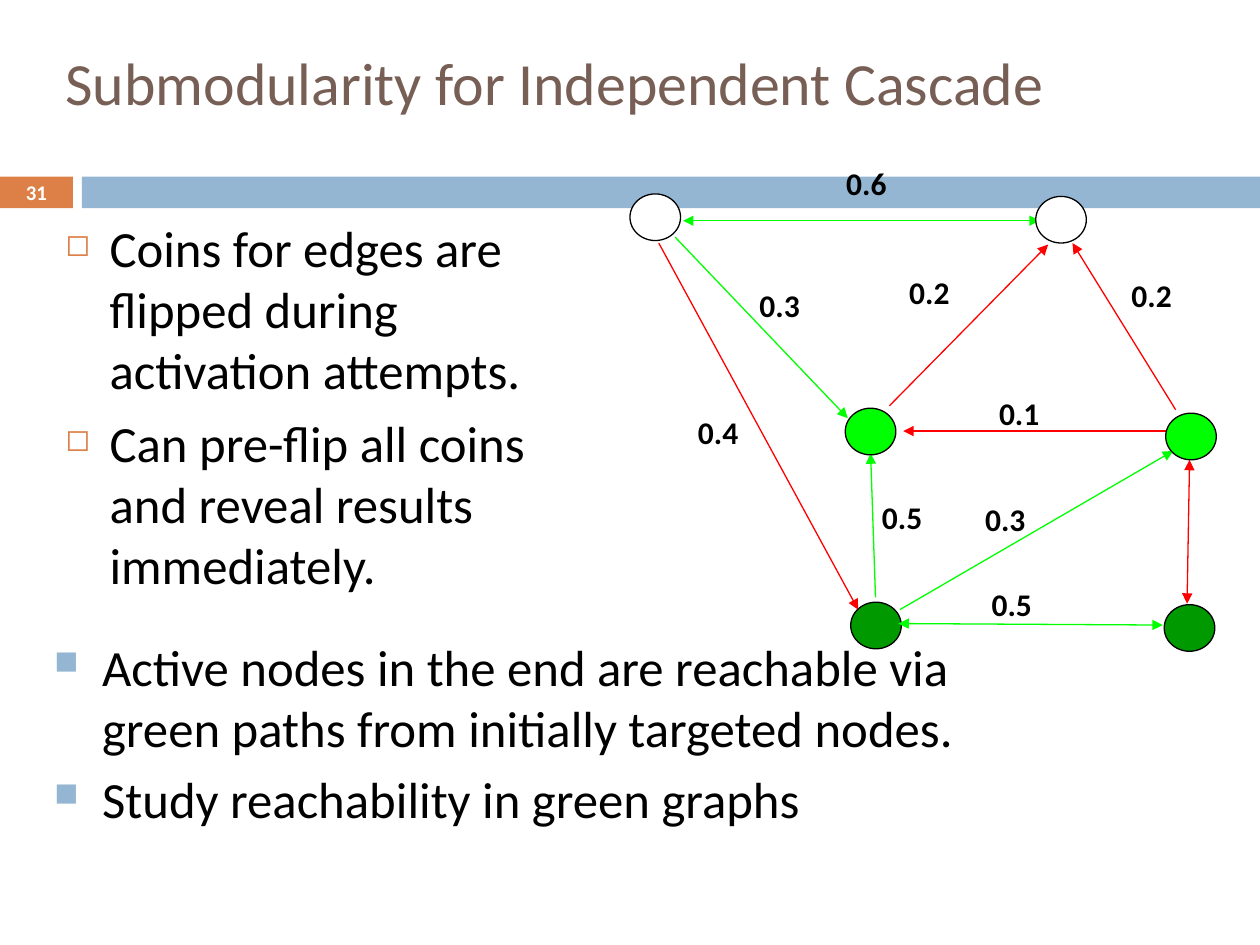
from lxml import etree
from pptx import Presentation
from pptx.dml.color import RGBColor
from pptx.enum.shapes import MSO_CONNECTOR, MSO_SHAPE
from pptx.enum.text import MSO_ANCHOR, PP_ALIGN
from pptx.oxml.ns import qn
from pptx.util import Cm, Pt

RECTANGLE, OVAL = MSO_SHAPE.RECTANGLE, MSO_SHAPE.OVAL
STRAIGHT = MSO_CONNECTOR.STRAIGHT
TOP, MIDDLE = MSO_ANCHOR.TOP, MSO_ANCHOR.MIDDLE
LEFT, CENTER = PP_ALIGN.LEFT, PP_ALIGN.CENTER

COLORS = {
    "title": "775F55",
    "orange": "DD8047",
    "blue": "94B6D2",
    "black": "000000",
    "white": "FFFFFF",
    "live": "00FF00",
    "blocked": "FF0000",
    "target": "009900",
}
RGB = {name: RGBColor.from_string(value) for name, value in COLORS.items()}
FONT = "Calibri"
NODE_WIDTH, NODE_HEIGHT = 1.02, 0.94
LABEL_WIDTH, LABEL_HEIGHT = 1.7, 1.02

prs = Presentation()
prs.slide_width, prs.slide_height = Cm(25.4), Cm(19.05)
slide = prs.slides.add_slide(prs.slide_layouts[6])
shapes = slide.shapes


def add_text(paragraphs, left, top, width, height, size=18, color="black",
             bold=False, align=LEFT, anchor=TOP, bullet=None, bullet_color=None,
             bullet_percent=100, indent=0, space_before=0):
    """Add a text box in cm; a bullet gives each paragraph a hanging indent."""
    frame = shapes.add_textbox(Cm(left), Cm(top), Cm(width), Cm(height)).text_frame
    frame.word_wrap = True
    frame.vertical_anchor = anchor
    for index, text in enumerate(paragraphs):
        paragraph = frame.add_paragraph() if index else frame.paragraphs[0]
        paragraph.alignment = align
        paragraph.space_before = Pt(space_before)
        run = paragraph.add_run()
        run.text = text
        run.font.name, run.font.size, run.font.bold = FONT, Pt(size), bold
        run.font.color.rgb = RGB[color]
        if bullet:
            props = paragraph._p.get_or_add_pPr()
            props.set("marL", str(Cm(indent)))
            props.set("indent", str(-Cm(indent)))
            fill = etree.SubElement(props, qn("a:buClr"))
            etree.SubElement(fill, qn("a:srgbClr"), val=COLORS[bullet_color])
            etree.SubElement(props, qn("a:buSzPct"), val=str(bullet_percent * 1000))
            etree.SubElement(props, qn("a:buChar"), char=bullet)


def add_shape(kind, left, top, width, height, fill, outline=None):
    shape = shapes.add_shape(kind, Cm(left), Cm(top), Cm(width), Cm(height))
    shape.shadow.inherit = False
    shape.fill.solid()
    shape.fill.fore_color.rgb = RGB[fill]
    if outline:
        shape.line.color.rgb = RGB[outline]
        shape.line.width = Pt(0.75)
    else:
        shape.line.fill.background()


# Header band, title and first points
add_shape(RECTANGLE, 0, 3.56, 1.47, 0.64, "orange")
add_shape(RECTANGLE, 1.65, 3.56, 23.75, 0.64, "blue")
add_text(["Submodularity for Independent Cascade"], 1.07, 0.76, 24.56, 1.78,
         size=34.2, color="title", anchor=MIDDLE)
add_text(["Coins for edges are flipped during activation attempts.",
          "Can pre-flip all coins and reveal results immediately."],
         1.07, 4.24, 11, 9.73, size=29, bullet="◻", bullet_color="orange",
         bullet_percent=60, indent=0.89, space_before=7)

# Cascade graph: the first target lies below the edges, other nodes above
add_shape(OVAL, 17.15, 12.14, NODE_WIDTH, NODE_HEIGHT, "target", "black")

edges = [  # start, end, outcome of the coin, arrows at both ends
    ((18.11, 12.57), (23.44, 12.6), "live", True),
    ((18.14, 12.29), (23.65, 9.09), "live", False),
    ((17.65, 12.04), (17.55, 9.14), "live", False),
    ((23.52, 8.69), (18.21, 8.69), "blocked", False),
    ((13.28, 4.9), (17.3, 12.29), "blocked", False),
    ((13.61, 4.78), (17.09, 8.43), "live", False),
    ((17.93, 8.18), (21.13, 4.93), "blocked", False),
    ((13.77, 4.45), (20.96, 4.45), "live", True),
    ((23.7, 8.26), (21.62, 4.9), "blocked", False),
    ((23.98, 9.27), (23.93, 12.17), "blocked", True),
]
for start, end, outcome, both_ways in edges:
    edge = shapes.add_connector(STRAIGHT, *map(Cm, start + end))
    edge.line.color.rgb = RGB[outcome]
    edge.line.width = Pt(0.75)
    line = edge.line._get_or_add_ln()
    if both_ways:
        etree.SubElement(line, qn("a:headEnd"), type="triangle")
    etree.SubElement(line, qn("a:tailEnd"), type="triangle")
    etree.SubElement(edge._element.spPr, qn("a:effectLst"))

probabilities = [
    ("0.5", 19.74, 11.66),
    ("0.3", 19.61, 9.96),
    ("0.5", 17.53, 9.91),
    ("0.1", 19.89, 7.82),
    ("0.4", 13.82, 8.2),
    ("0.3", 15.06, 5.64),
    ("0.2", 18.08, 5.38),
    ("0.6", 16.81, 3.18),
    ("0.2", 22.56, 5.44),
]
for probability, left, top in probabilities:
    add_text([probability], left, top, LABEL_WIDTH, LABEL_HEIGHT, bold=True)

upper_nodes = [
    (23.47, 12.19, "target"),
    (12.7, 3.91, "white"),
    (20.88, 3.96, "white"),
    (17.04, 8.23, "live"),
    (23.5, 8.33, "live"),
]
for left, top, state in upper_nodes:
    add_shape(OVAL, left, top, NODE_WIDTH, NODE_HEIGHT, state, "black")

# Conclusions and slide number
add_text(["Active nodes in the end are reachable via green paths from "
          "initially targeted nodes.",
          "Study reachability in green graphs"],
         0.84, 12.7, 21.16, 3.81, size=29, bullet="■", bullet_color="blue",
         bullet_percent=65, indent=0.97, space_before=5.8)
add_text(["31"], 0, 3.53, 1.47, 0.69, size=11.9, color="white", bold=True,
         align=CENTER, anchor=MIDDLE)

prs.save("out.pptx")
